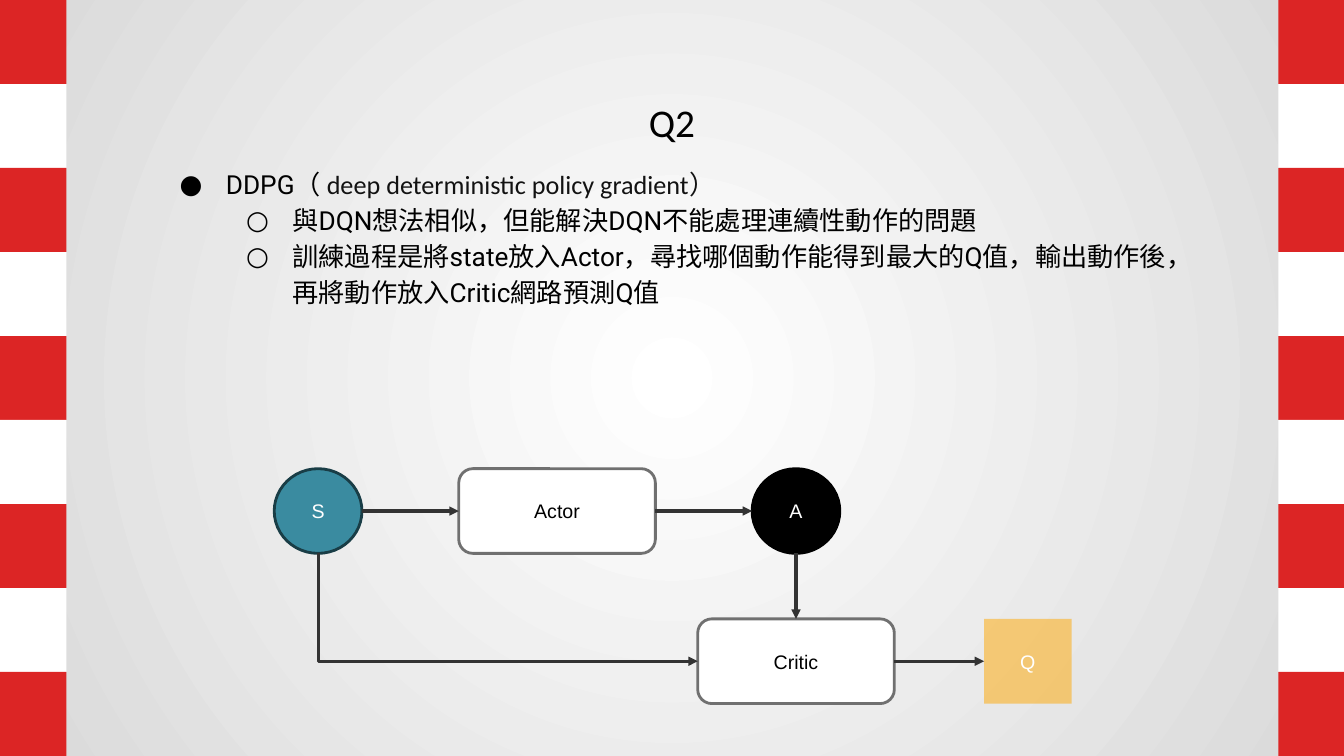
from lxml import etree
from pptx import Presentation
from pptx.dml.color import RGBColor
from pptx.enum.shapes import MSO_CONNECTOR, MSO_SHAPE
from pptx.enum.text import MSO_ANCHOR, MSO_AUTO_SIZE, PP_ALIGN
from pptx.oxml.ns import qn
from pptx.util import Inches, Pt

RECTANGLE = MSO_SHAPE.RECTANGLE
ROUNDED = MSO_SHAPE.ROUNDED_RECTANGLE
ELLIPSE = MSO_SHAPE.OVAL
STRAIGHT = MSO_CONNECTOR.STRAIGHT
ELBOW = MSO_CONNECTOR.ELBOW
CENTER = PP_ALIGN.CENTER
LEFT_ALIGN = PP_ALIGN.LEFT
MIDDLE = MSO_ANCHOR.MIDDLE
TOP_ANCHOR = MSO_ANCHOR.TOP
NO_AUTOFIT = MSO_AUTO_SIZE.NONE

TOP, LEFT, BOTTOM, RIGHT = range(4)
STRIPE_COUNT = 9
STRIPE_HEIGHT = 7.5 / STRIPE_COUNT
NODE_HEIGHT = 0.84
UPPER_ROW, LOWER_ROW = 4.65, 6.14


def color(value):
    return RGBColor.from_string(value)


def add_element(parent, tag, **attributes):
    return etree.SubElement(parent, qn(tag), attributes)


def add_span(para, text, size=14, font="Arial", ink="000000"):
    span = para.add_run()
    span.text = text
    span.font.size = Pt(size)
    span.font.color.rgb = color(ink)
    span.font.name = font
    add_element(span._r.get_or_add_rPr(), "a:ea", typeface=font)


def place(box, left, top, width, height, anchor):
    box.left, box.top = Inches(left), Inches(top)
    box.width, box.height = Inches(width), Inches(height)
    frame = box.text_frame
    frame.margin_left = frame.margin_right = Inches(0.1)
    frame.margin_top = frame.margin_bottom = Inches(0.1)
    frame.vertical_anchor = anchor
    frame.word_wrap = True
    frame.auto_size = NO_AUTOFIT
    return frame


def add_bullet(para, spans, mark, indent, level=0, spacing=1.0):
    para.level = level
    para.alignment = LEFT_ALIGN
    para.line_spacing = spacing
    para.space_before = Pt(0)
    properties = para._p.get_or_add_pPr()
    properties.set("marL", str(Inches(indent)))
    properties.set("indent", str(Inches(-0.46)))
    add_element(add_element(properties, "a:buClr"), "a:srgbClr", val="000000")
    add_element(properties, "a:buFont", typeface="Roboto")
    add_element(properties, "a:buChar", char=mark)
    for text, font, ink in spans:
        add_span(para, text, size=18.7, font=font, ink=ink)


def add_box(page, kind, left, top, width, height, fill, line=None):
    box = page.shapes.add_shape(
        kind, Inches(left), Inches(top), Inches(width), Inches(height))
    box.shadow.inherit = False
    box.fill.solid()
    box.fill.fore_color.rgb = color(fill)
    if line:
        box.line.color.rgb = color(line)
        box.line.width = Pt(2)
    else:
        box.line.fill.background()
    return box


def add_node(page, label, kind, left, top, width, fill, line=None, ink="FFFFFF"):
    node = add_box(page, kind, left, top, width, NODE_HEIGHT, fill, line)
    node.text_frame.vertical_anchor = MIDDLE
    para = node.text_frame.paragraphs[0]
    para.alignment = CENTER
    add_span(para, label, ink=ink)
    return node


def set_opacity(box, percent):
    tint = box._element.spPr.find(qn("a:solidFill"))[0]
    add_element(tint, "a:alpha", val=str(percent * 1000))


def connection_site(node, side):
    return str(side * 2 if node.auto_shape_type == ELLIPSE else side)


def add_arrow(page, start, start_side, end, end_side, kind=STRAIGHT):
    arrow = page.shapes.add_connector(kind, 0, 0, 0, 0)
    arrow.begin_connect(start, start_side)
    arrow.end_connect(end, end_side)
    links = arrow._element.nvCxnSpPr.cNvCxnSpPr
    links.stCxn.set("idx", connection_site(start, start_side))
    links.endCxn.set("idx", connection_site(end, end_side))
    arrow.line.color.rgb = color("333333")
    arrow.line.width = Pt(2.25)
    add_element(arrow.line._get_or_add_ln(), "a:tailEnd", type="triangle")
    add_element(arrow._element.spPr, "a:effectLst")
    return arrow


def turn_down_then_right(arrow):
    width, height = arrow.width, arrow.height
    arrow.left += (width - height) // 2
    arrow.top += (height - width) // 2
    arrow.width, arrow.height = height, width
    properties = arrow._element.spPr
    frame = properties.find(qn("a:xfrm"))
    frame.set("rot", str(270 * 60000))
    frame.set("flipH", "1")
    properties.find(qn("a:prstGeom")).set("prst", "bentConnector2")


def paint_background(page):
    fill = page.background.fill
    fill.gradient()
    for stop, (position, shade) in zip(
            fill.gradient_stops, ((0, "FFFFFF"), (1, "D9D9D9"))):
        stop.position = position
        stop.color.rgb = color(shade)
    gradient = page.background._cSld.find(".//" + qn("a:gradFill"))
    gradient.remove(gradient.find(qn("a:lin")))
    circle = add_element(gradient, "a:path", path="circle")
    add_element(circle, "a:fillToRect", l="50000", t="50000", r="50000", b="50000")


def add_stripes(page):
    for left in (-0.02, 12.68):
        for row in range(STRIPE_COUNT):
            add_box(page, RECTANGLE, left, row * STRIPE_HEIGHT, 0.68,
                    STRIPE_HEIGHT, "FFFFFF" if row % 2 else "DC2525")


def write_text(page):
    title = place(page.shapes.title, 1.05, 0.79, 11.23, 0.84, MIDDLE)
    title.paragraphs[0].alignment = CENTER
    add_span(title.paragraphs[0], "Q2", size=28, font="Calibri")

    body = place(page.placeholders[1], 1.47, 1.57, 10.4, 4.98, TOP_ANCHOR)
    add_bullet(body.paragraphs[0], [
        ("DDPG（", "Roboto", "000000"),
        (" deep deterministic policy gradient）", "Calibri", "121212"),
    ], "●", 0.67)
    for text in (
        "與DQN想法相似，但能解決DQN不能處理連續性動作的問題",
        "訓練過程是將state放入Actor，尋找哪個動作能得到最大的Q值，"
        "輸出動作後，再將動作放入Critic網路預測Q值",
    ):
        add_bullet(body.add_paragraph(), [(text, "Roboto", "000000")],
                   "○", 1.33, level=1, spacing=1.15)


def draw_network(page):
    state = add_node(page, "S", ELLIPSE, 2.72, UPPER_ROW, 0.87, "3A8BA0", "193D46")
    actor = add_node(page, "Actor", ROUNDED, 4.55, UPPER_ROW, 1.95,
                     "FFFFFF", "707070", ink="000000")
    action = add_node(page, "A", ELLIPSE, 7.46, UPPER_ROW, 0.87, "000000", "000000")
    critic = add_node(page, "Critic", ROUNDED, 6.92, LOWER_ROW, 1.95,
                      "FFFFFF", "707070", ink="000000")
    value = add_node(page, "Q", RECTANGLE, 9.76, LOWER_ROW, 0.87, "FFA700")
    set_opacity(value, 50)

    add_arrow(page, state, RIGHT, actor, LEFT)
    add_arrow(page, actor, RIGHT, action, LEFT)
    add_arrow(page, action, BOTTOM, critic, TOP)
    turn_down_then_right(add_arrow(page, state, BOTTOM, critic, LEFT, ELBOW))
    add_arrow(page, critic, RIGHT, value, LEFT)


def main():
    deck = Presentation()
    deck.slide_width, deck.slide_height = Inches(13.33), Inches(7.5)
    page = deck.slides.add_slide(deck.slide_layouts[1])
    paint_background(page)
    add_stripes(page)
    write_text(page)
    draw_network(page)
    deck.save("out.pptx")


if __name__ == "__main__":
    main()
